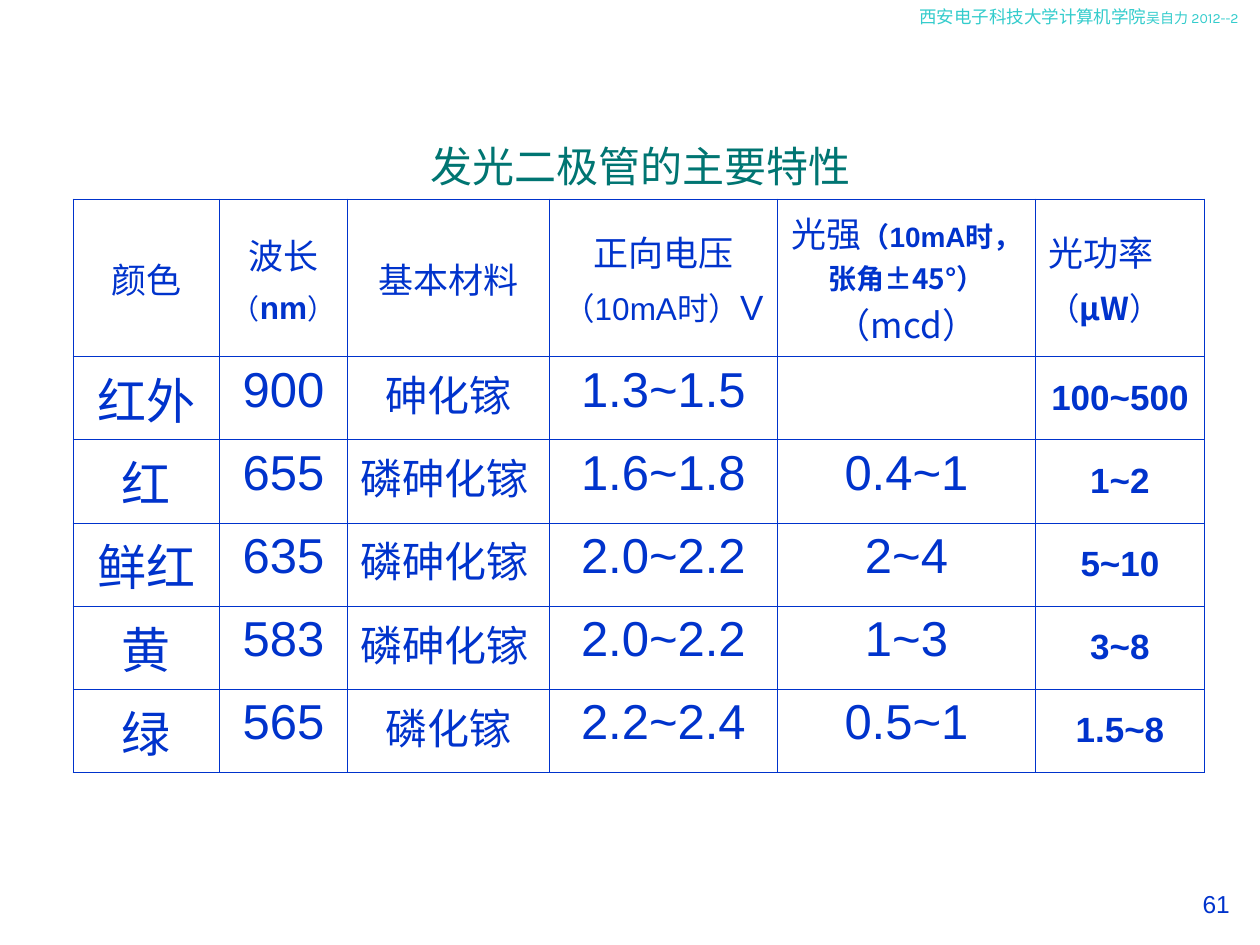
from lxml import etree
from pptx import Presentation
from pptx.dml.color import RGBColor
from pptx.enum.text import MSO_ANCHOR, PP_ALIGN
from pptx.oxml.ns import qn
from pptx.util import Inches, Pt

LEFT, CENTER, RIGHT = PP_ALIGN.LEFT, PP_ALIGN.CENTER, PP_ALIGN.RIGHT
TOP, MIDDLE = MSO_ANCHOR.TOP, MSO_ANCHOR.MIDDLE
COLORS = {"body": "0033CC", "title": "007572", "credit": "33CCCC"}
SANS, CJK, CREDIT_FONT = "Arial", "Noto Sans CJK SC", "Karla"

COLUMN_WIDTHS = [1.16, 1.02, 1.6, 1.81, 2.05, 1.34]
ROW_HEIGHTS = [1.25] + [0.66] * 5
BORDER_WIDTH = 0.45

# Each header cell is a list of paragraphs; a run is (text, size, bold, font).
HEADERS = [
    [[("颜色", 20, False, SANS)]],
    [[("波长", 20, False, SANS)],
     [("（", 16, False, SANS), ("nm", 18, True, SANS), ("）", 16, False, SANS)]],
    [[("基本材料", 20, False, SANS)]],
    [[("正向电压", 20, False, SANS)],
     [("（10mA时）", 18, False, SANS), ("V", 20, False, SANS)]],
    [[("光强", 20, False, SANS), ("（10mA时，张角", 16, True, SANS),
      ("±45°）", 16, True, CJK), ("（mcd）", 20, False, CJK)]],
    [[("光功率", 20, False, SANS)],
     [("（", 18, False, SANS), ("μW", 18, True, CJK), ("）", 18, False, CJK)]],
]
DIODES = [
    ["红外", "900", "砷化镓", "1.3~1.5", "", "100~500"],
    ["红", "655", "磷砷化镓", "1.6~1.8", "0.4~1", "1~2"],
    ["鲜红", "635", "磷砷化镓", "2.0~2.2", "2~4", "5~10"],
    ["黄", "583", "磷砷化镓", "2.0~2.2", "1~3", "3~8"],
    ["绿", "565", "磷化镓", "2.2~2.4", "0.5~1", "1.5~8"],
]
MATERIAL_COLUMN, POWER_COLUMN = 2, 5


def write_paragraphs(text_frame, paragraphs, color, alignment):
    for index, runs in enumerate(paragraphs):
        paragraph = text_frame.add_paragraph() if index else text_frame.paragraphs[0]
        paragraph.alignment = alignment
        paragraph._p.get_or_add_pPr().set("hangingPunct", "0")
        if index:
            paragraph.space_before = Pt(4.5)
        for text, size, bold, font in runs:
            run = paragraph.add_run()
            run.text = text
            run.font.size = Pt(size)
            run.font.bold = bold
            run.font.name = font
            run.font.color.rgb = RGBColor.from_string(COLORS[color])


def add_text(slide, box, runs, color, alignment, anchor=TOP):
    text_frame = slide.shapes.add_textbox(*map(Inches, box)).text_frame
    text_frame.word_wrap = True
    text_frame.vertical_anchor = anchor
    write_paragraphs(text_frame, [runs], color, alignment)


def set_borders(cell):
    properties = cell._tc.get_or_add_tcPr()
    for position, side in enumerate(("lnL", "lnR", "lnT", "lnB")):
        line = etree.Element(qn(f"a:{side}"), w=str(Pt(BORDER_WIDTH)))
        fill = etree.SubElement(line, qn("a:solidFill"))
        etree.SubElement(fill, qn("a:srgbClr"), val=COLORS["body"])
        properties.insert(position, line)


def write_diode_cell(cell, text, column):
    size, bold, alignment = 28, False, CENTER
    if column == MATERIAL_COLUMN:
        size = 24
        alignment = LEFT if len(text) == 4 else CENTER
    elif column == POWER_COLUMN:
        size, bold = 20, True
        cell.vertical_anchor = MIDDLE
    if text:
        write_paragraphs(cell.text_frame, [[(text, size, bold, SANS)]], "body", alignment)


def add_diode_table(slide, box):
    row_count, column_count = len(ROW_HEIGHTS), len(COLUMN_WIDTHS)
    table = slide.shapes.add_table(row_count, column_count, *map(Inches, box)).table
    table.first_row = table.horz_banding = False
    for column, width in zip(table.columns, COLUMN_WIDTHS):
        column.width = Inches(width)
    for row, height in zip(table.rows, ROW_HEIGHTS):
        row.height = Inches(height)
    for row in range(row_count):
        for column in range(column_count):
            cell = table.cell(row, column)
            cell.fill.background()
            set_borders(cell)
            if row == 0:
                cell.vertical_anchor = MIDDLE
                alignment = LEFT if column == POWER_COLUMN else CENTER
                write_paragraphs(cell.text_frame, HEADERS[column], "body", alignment)
            else:
                write_diode_cell(cell, DIODES[row - 1][column], column)


def main():
    presentation = Presentation()
    presentation.slide_width = Inches(10)
    presentation.slide_height = Inches(7.5)
    slide = presentation.slides.add_slide(presentation.slide_layouts[6])
    credit = [("西安电子科技大学计算机学院", 10, False, CREDIT_FONT),
              ("吴自力 2012--2", 8, False, CREDIT_FONT)]
    add_text(slide, (7.2, 0, 2.8, 0.4), credit, "credit", LEFT)
    add_text(slide, (7.36, 7.01, 2.5, 0.52), [("61", 14, False, SANS)], "body", RIGHT)
    add_text(slide, (0.67, 1.15, 8.82, 0.33),
             [("发光二极管的主要特性", 24, False, SANS)], "title", CENTER, MIDDLE)
    add_diode_table(slide, (0.58, 1.58, sum(COLUMN_WIDTHS), sum(ROW_HEIGHTS)))
    presentation.save("out.pptx")


if __name__ == "__main__":
    main()
